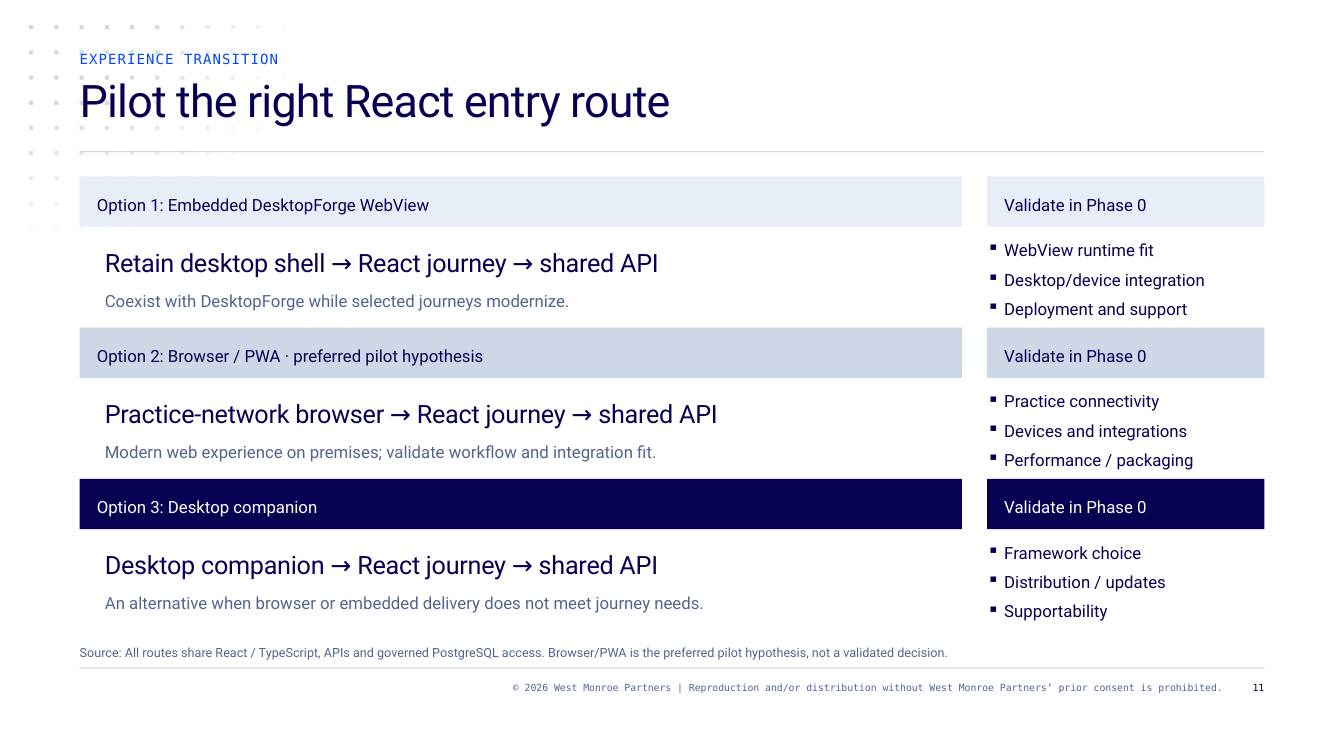
from dataclasses import dataclass
from math import hypot

from lxml import etree
from pptx import Presentation
from pptx.dml.color import RGBColor
from pptx.enum.shapes import MSO_SHAPE
from pptx.enum.text import MSO_ANCHOR, MSO_AUTO_SIZE, PP_ALIGN
from pptx.oxml.ns import qn
from pptx.shapes.autoshape import Shape
from pptx.slide import Slide
from pptx.util import Inches, Pt

RECT = MSO_SHAPE.RECTANGLE
TOP = MSO_ANCHOR.TOP
NO_FIT = MSO_AUTO_SIZE.NONE
LEFT, RIGHT = PP_ALIGN.LEFT, PP_ALIGN.RIGHT
SANS, MONO = "Roboto", "DejaVu Sans Mono"
NAVY, SLATE, BLUE = "070154", "50658E", "0047FF"
MIST, PALE, WHITE = "CED7E6", "E8EEF8", "FFFFFF"

MARGIN, CONTENT_W = 0.79, 11.75
OPTION_W, CHECK_X, CHECK_W = 8.75, 9.79, 2.75
BAND_H, BAND_PAD, FIRST_BAND_Y, BAND_PITCH = 0.5, 0.17, 1.75, 1.5
DOT_X, DOT_Y, DOT_PITCH, DOT_SIZE = 0.29, 0.25, 0.25, 0.04
DOTS_PER_ROW = (11, 11, 11, 11, 10, 10, 9, 3, 5)
FADE_START, FADE_X, FADE_Y = 152.4, 13.8, 16.7


@dataclass
class Style:
    """Look of a line of text."""

    size: float
    leading: float
    color: str
    font: str = SANS
    spacing: float = 0
    align: PP_ALIGN = LEFT


@dataclass
class Option:
    """One entry route with the points to validate."""

    name: str
    route: str
    note: str
    checks: tuple[str, ...]
    fill: str
    ink: str = NAVY


OPTIONS = (
    Option("Option 1: Embedded DesktopForge WebView",
           "Retain desktop shell → React journey → shared API",
           "Coexist with DesktopForge while selected journeys modernize.",
           ("WebView runtime fit", "Desktop/device integration", "Deployment and support"),
           PALE),
    Option("Option 2: Browser / PWA · preferred pilot hypothesis",
           "Practice-network browser → React journey → shared API",
           "Modern web experience on premises; validate workflow and integration fit.",
           ("Practice connectivity", "Devices and integrations", "Performance / packaging"),
           MIST),
    Option("Option 3: Desktop companion",
           "Desktop companion → React journey → shared API",
           "An alternative when browser or embedded delivery does not meet journey needs.",
           ("Framework choice", "Distribution / updates", "Supportability"),
           NAVY, WHITE),
)


def rgb(color: str) -> RGBColor:
    """Turn a hex string into a colour."""
    return RGBColor.from_string(color)


def add_rect(s: Slide, x: float, y: float, w: float, h: float,
             color: str, alpha: float = 100) -> None:
    """Draw a borderless rectangle with the given opacity in percent."""
    sp = s.shapes.add_shape(RECT, Inches(x), Inches(y), Inches(w), Inches(h))
    sp.shadow.inherit = False
    sp.fill.solid()
    sp.fill.fore_color.rgb = rgb(color)
    sp.line.fill.background()
    if alpha < 100:
        clr = sp.element.spPr.find(f".//{qn('a:srgbClr')}")
        etree.SubElement(clr, qn("a:alpha"), val=str(round(alpha) * 1000))


def fill_text(sp: Shape, lines: tuple[str, ...], style: Style, bullets: bool = False) -> None:
    """Write styled lines into a shape without insets."""
    tf = sp.text_frame
    tf.word_wrap = True
    tf.auto_size = NO_FIT
    tf.vertical_anchor = TOP
    tf.margin_left = tf.margin_top = tf.margin_right = tf.margin_bottom = 0
    for i, line in enumerate(lines):
        p = tf.paragraphs[0] if i == 0 else tf.add_paragraph()
        p.alignment = style.align
        p.line_spacing = Pt(style.leading)
        p.space_before = Pt(3 if i else 0)
        if bullets:
            pPr = p._p.get_or_add_pPr()
            pPr.set("marL", str(Inches(BAND_PAD)))
            pPr.set("indent", str(-Inches(BAND_PAD)))
            etree.SubElement(pPr, qn("a:buChar"), char="▪")
        r = p.add_run()
        r.text = line
        r.font.name = style.font
        r.font.size = Pt(style.size)
        r.font.color.rgb = rgb(style.color)
        if style.spacing:
            r.font._element.set("spc", str(round(style.spacing * 100)))


def add_text(s: Slide, x: float, y: float, w: float, h: float,
             style: Style, *lines: str, bullets: bool = False) -> None:
    """Add a text box."""
    sp = s.shapes.add_textbox(Inches(x), Inches(y), Inches(w), Inches(h))
    fill_text(sp, lines, style, bullets)


def add_dots(s: Slide) -> None:
    """Draw the corner dot grid, fading with distance from the corner."""
    for row, count in enumerate(DOTS_PER_ROW):
        for col in range(count):
            alpha = FADE_START - hypot(FADE_X * col, FADE_Y * row)
            add_rect(s, DOT_X + col * DOT_PITCH, DOT_Y + row * DOT_PITCH,
                     DOT_SIZE, DOT_SIZE, MIST, alpha)


def add_title(s: Slide, text: str) -> None:
    """Place the title in front of the dots."""
    title = s.shapes.title
    title.left, title.top = Inches(MARGIN), Inches(0.75)
    title.width, title.height = Inches(CONTENT_W), Inches(0.75)
    fill_text(title, (text,), Style(32, 36, NAVY, spacing=-0.6))
    title.element.getparent().append(title.element)


def add_band(s: Slide, x: float, y: float, w: float, text: str, option: Option) -> None:
    """Draw a coloured heading band."""
    add_rect(s, x, y, w, BAND_H, option.fill)
    add_text(s, x + BAND_PAD, y + 0.13, w - 2 * BAND_PAD, 0.25,
             Style(12, 18, option.ink), text)


def add_option(s: Slide, y: float, option: Option) -> None:
    """Draw one option with its validation list."""
    add_band(s, MARGIN, y, OPTION_W, option.name, option)
    add_band(s, CHECK_X, y, CHECK_W, "Validate in Phase 0", option)
    add_text(s, 1.04, y + 0.67, 8.33, 0.33, Style(18, 24, NAVY, spacing=-0.2), option.route)
    add_text(s, 1.04, y + 1.08, 8.33, 0.25, Style(12, 18, SLATE), option.note)
    add_text(s, CHECK_X, y + 0.58, CHECK_W, 0.84, Style(12, 18, NAVY),
             *option.checks, bullets=True)


def main() -> None:
    """Build the slide and save it."""
    prs = Presentation()
    prs.slide_width, prs.slide_height = Inches(13.33), Inches(7.5)
    s = prs.slides.add_slide(prs.slide_layouts[5])
    add_dots(s)
    for y in (1.5, 6.62):
        add_rect(s, MARGIN, y, CONTENT_W, 0.01, MIST)
    add_text(s, MARGIN, 0.5, CONTENT_W, 0.17, Style(10, 12, BLUE, MONO, 0.8),
             "EXPERIENCE TRANSITION")
    add_title(s, "Pilot the right React entry route")
    for i, option in enumerate(OPTIONS):
        add_option(s, FIRST_BAND_Y + i * BAND_PITCH, option)
    add_text(s, MARGIN, 6.38, CONTENT_W, 0.17, Style(9, 12, SLATE),
             "Source: All routes share React / TypeScript, APIs and governed PostgreSQL access. "
             "Browser/PWA is the preferred pilot hypothesis, not a validated decision.")
    add_text(s, 2.38, 6.75, 9.75, 0.25, Style(7, 9, SLATE, MONO, align=RIGHT),
             "© 2026 West Monroe Partners | Reproduction and/or distribution without "
             "West Monroe Partners’ prior consent is prohibited.")
    add_text(s, 12.21, 6.75, 0.33, 0.25, Style(7, 9, NAVY, MONO, align=RIGHT), "11")
    prs.save("out.pptx")


if __name__ == "__main__":
    main()
